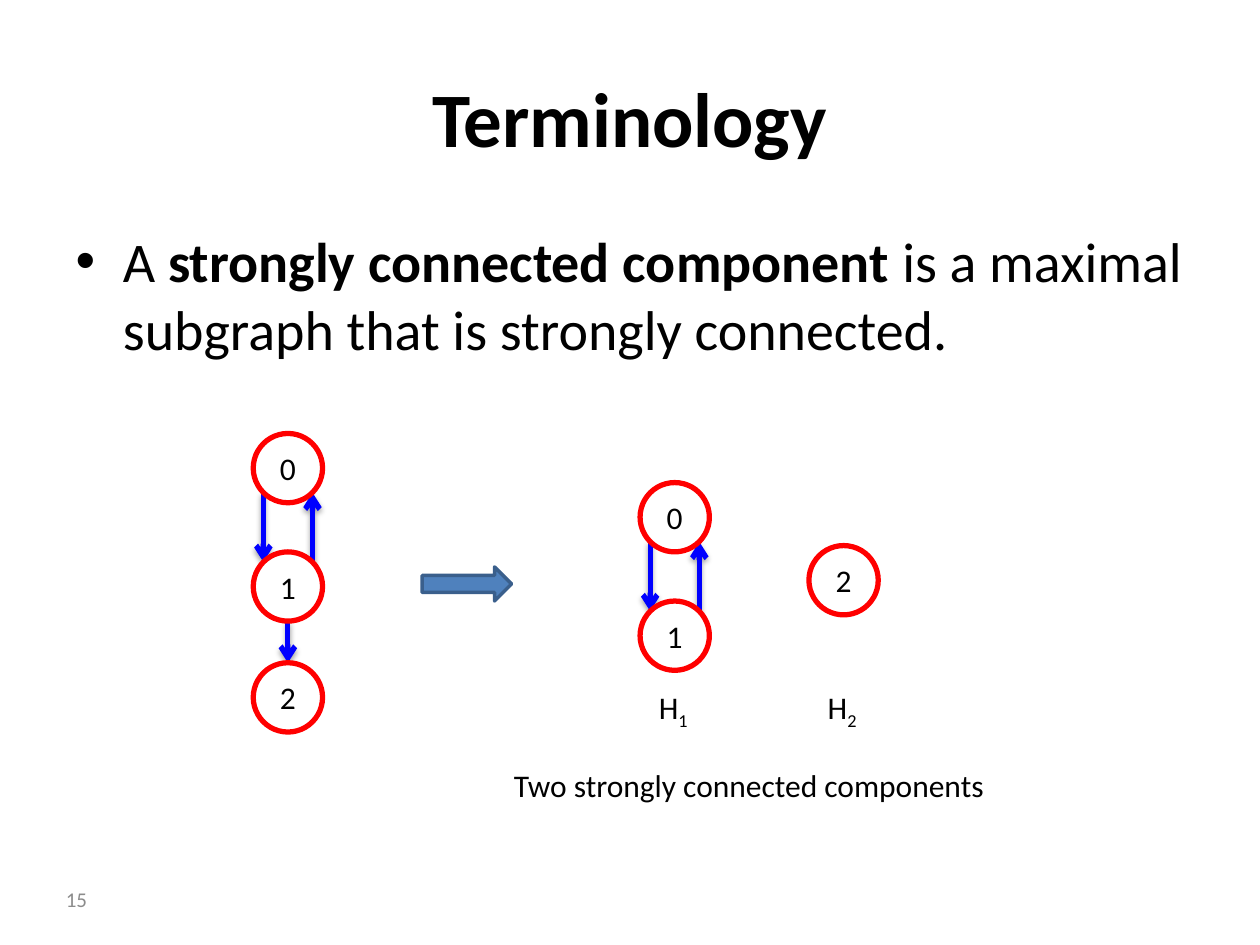
import pptx
import pptx.dml.color
import pptx.enum.shapes
import pptx.enum.text
import pptx.oxml
import pptx.oxml.ns
import pptx.util
from pptx.util import Inches

MSO_SHAPE = pptx.enum.shapes.MSO_SHAPE
PP_ALIGN = pptx.enum.text.PP_ALIGN
ANCHOR = pptx.enum.text.MSO_ANCHOR

BLACK, WHITE, RED, BLUE, GRAY = "000000", "FFFFFF", "FF0000", "0000FF", "8C8C8C"
ARROW_FILL, ARROW_LINE = "4F81BD", "3A5F8C"
NODE = 0.55         # node diameter
EDGE_INSET = 0.08   # side edges, in from the node's left and right
STEP = 0.94         # from node 0 down to node 1

SHADOW = (
    '<a:effectLst %s><a:outerShdw blurRad="39370" dist="22860" dir="5400000" '
    'rotWithShape="0"><a:srgbClr val="000000"><a:alpha val="35000"/>'
    '</a:srgbClr></a:outerShdw></a:effectLst>' % pptx.oxml.ns.nsdecls("a"))
ARROWHEAD = '<a:tailEnd %s type="arrow"/>' % pptx.oxml.ns.nsdecls("a")


def color(hex_string):
    return pptx.dml.color.RGBColor.from_string(hex_string)


class SlideBuilder:
    font = "Calibri"

    def __init__(self, slide):
        self.s = slide

    def style(self, r, size, hex_string=BLACK, bold=False):
        r.font.name = self.font
        r.font.size = pptx.util.Pt(size)
        r.font.bold = bold
        r.font.color.rgb = color(hex_string)

    def placeholder(self, idx, box, runs, size):
        """Fill a placeholder with (text, bold) runs."""
        sp = self.s.placeholders[idx]
        sp.left, sp.top, sp.width, sp.height = map(Inches, box)
        p = sp.text_frame.paragraphs[0]
        for text, bold in runs:
            r = p.add_run()
            r.text = text
            self.style(r, size, bold=bold)
        return p

    def text(self, box, text, size=18, sub="", hex_string=BLACK, align=None, anchor=None):
        tf = self.s.shapes.add_textbox(*map(Inches, box)).text_frame
        tf.word_wrap = False
        tf.vertical_anchor = anchor
        p = tf.paragraphs[0]
        p.text = text
        p.alignment = align
        if sub:
            r = p.add_run()
            r.text = sub
            r.font._element.set("baseline", "-25000")
        for r in p.runs:
            self.style(r, size, hex_string)

    def shape(self, shapes, kind, box, fill, line, width):
        sp = shapes.add_shape(kind, *map(Inches, box))
        sp.shadow.inherit = False
        sp.fill.solid()
        sp.fill.fore_color.rgb = color(fill)
        sp.line.color.rgb = color(line)
        sp.line.width = pptx.util.Pt(width)
        return sp

    def node(self, shapes, x, y, label):
        sp = self.shape(shapes, MSO_SHAPE.OVAL, (x, y, NODE, NODE), WHITE, RED, 3)
        tf = sp.text_frame
        tf.vertical_anchor = ANCHOR.MIDDLE
        p = tf.paragraphs[0]
        p.text = label
        p.alignment = PP_ALIGN.CENTER
        self.style(p.runs[0], 18)

    def edge(self, shapes, x, y1, y2):
        """Vertical arrow pointing at y2."""
        c = shapes.add_connector(pptx.enum.shapes.MSO_CONNECTOR.STRAIGHT,
                                 Inches(x), Inches(y1), Inches(x), Inches(y2))
        c.line.color.rgb = color(BLUE)
        c.line.width = pptx.util.Pt(3)
        c.line._get_or_add_ln().append(pptx.oxml.parse_xml(ARROWHEAD))
        c._element.spPr.append(pptx.oxml.parse_xml(SHADOW))

    def graph(self, x, y, third_y=None):
        """Nodes 0 and 1 joined both ways, with an optional node 2 below."""
        shapes = self.s.shapes.add_group_shape().shapes
        top, bottom = y + NODE - EDGE_INSET, y + STEP + EDGE_INSET
        self.edge(shapes, x + EDGE_INSET, top, bottom)
        self.edge(shapes, x + NODE - EDGE_INSET, bottom, top)
        node_tops = [y, y + STEP]
        if third_y is not None:
            self.edge(shapes, x + NODE / 2, y + STEP + NODE, third_y)
            node_tops.append(third_y)
        for i, node_y in enumerate(node_tops):
            self.node(shapes, x, node_y, str(i))


def main():
    prs = pptx.Presentation()
    prs.slide_width, prs.slide_height = Inches(10), Inches(7.5)
    s = prs.slides.add_slide(prs.slide_layouts[1])
    b = SlideBuilder(s)

    # Title and definition
    title = b.placeholder(0, (0.5, 0.3, 9, 1.25), [("Terminology", True)], 44)
    title.alignment = PP_ALIGN.CENTER
    b.placeholder(1, (0.5, 1.75, 9, 4.95), [
        ("A ", False),
        ("strongly connected component", True),
        (" is a maximal subgraph that is strongly connected.", False),
    ], 32)

    # Full graph, arrow, then its two components
    b.graph(2.01, 3.44, third_y=5.26)
    b.shape(s.shapes, MSO_SHAPE.RIGHT_ARROW, (3.35, 4.5, 0.71, 0.27),
            ARROW_FILL, ARROW_LINE, 2)
    b.graph(5.08, 3.83)
    b.node(s.shapes, 6.42, 4.33, "2")

    # Captions
    b.text((3.98, 6.03, 4.11, 0.4), "Two strongly connected components")
    for x, number in ((5.13, "1"), (6.47, "2")):
        b.text((x, 5.41, 0.45, 0.4), "H", sub=number)

    # Page number
    b.text((0.2, 6.94, 0.59, 0.4), "15", size=12, hex_string=GRAY,
           align=PP_ALIGN.RIGHT, anchor=ANCHOR.MIDDLE)

    prs.save("out.pptx")


if __name__ == "__main__":
    main()
